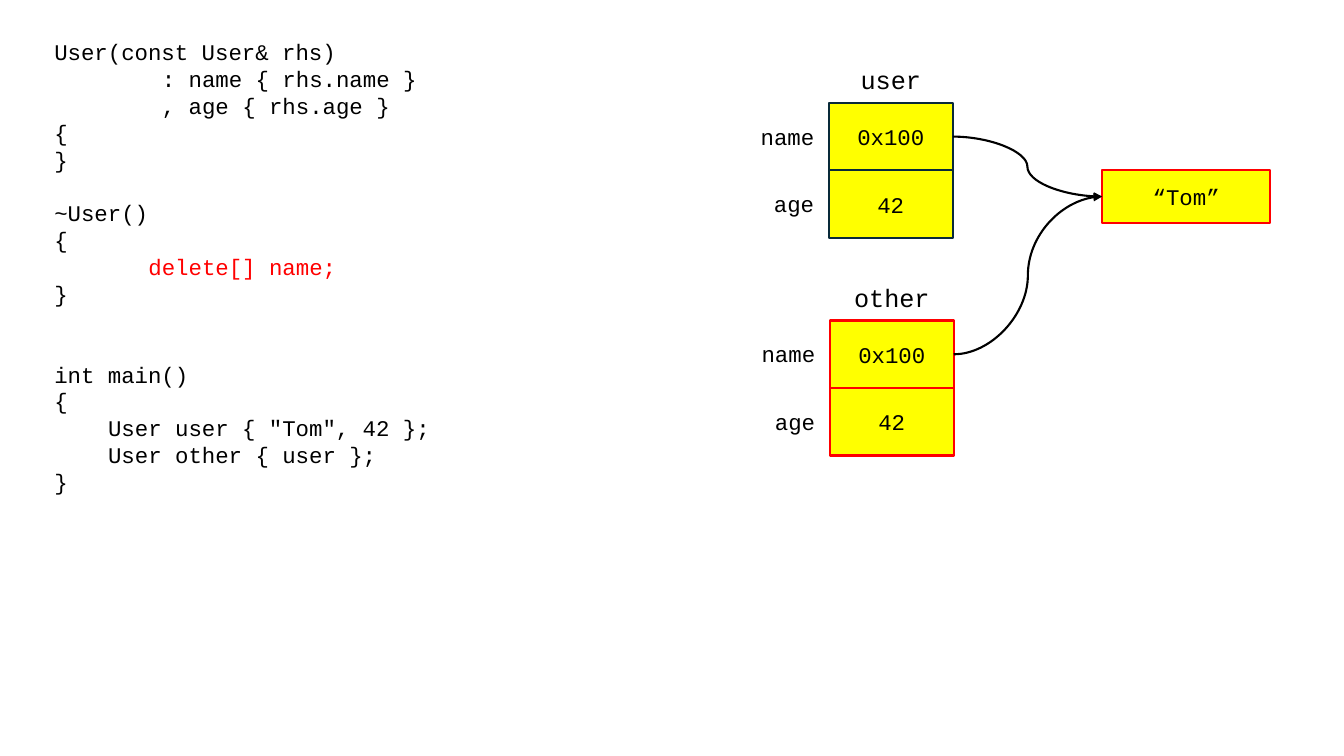
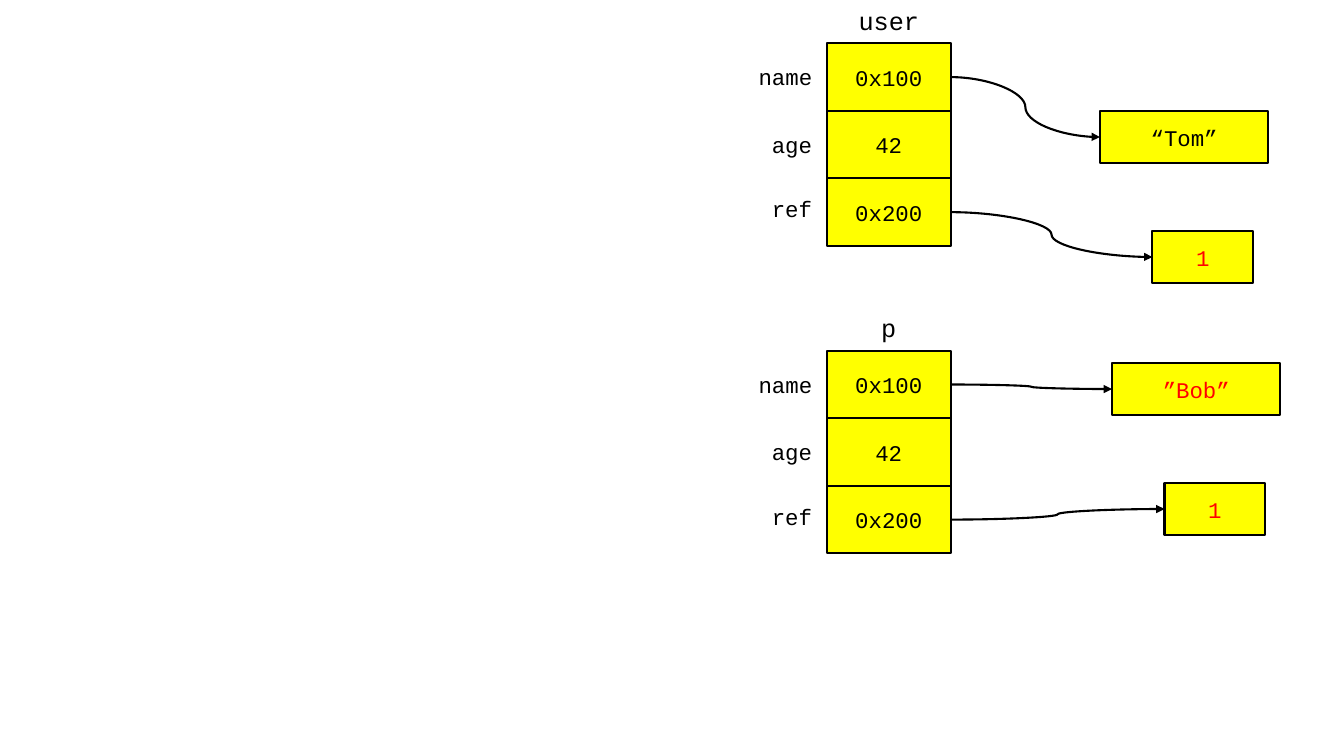
"""Builds two slides that show what shallow copying does to objects in memory."""
from lxml.etree import SubElement
from pptx import Presentation
from pptx.dml.color import RGBColor
from pptx.enum.shapes import MSO_CONNECTOR as Connector, MSO_SHAPE as Shape
from pptx.enum.text import MSO_ANCHOR as Anchor, PP_ALIGN as Align
from pptx.oxml.ns import qn
from pptx.util import Inches, Pt

BLACK = RGBColor(0x00, 0x00, 0x00)
RED = RGBColor(0xFF, 0x00, 0x00)
YELLOW = RGBColor(0xFF, 0xFF, 0x00)
NAVY = RGBColor(0x09, 0x2A, 0x39)

CODE = [
    (0, 0, "User(const User& rhs)", BLACK),
    (0, 8, ": name { rhs.name }", BLACK),
    (0, 8, ", age { rhs.age }", BLACK),
    (0, 0, "{", BLACK),
    (0, 0, "}", BLACK),
    (1, 0, "~User()", BLACK),
    (0, 0, "{", BLACK),
    (0, 7, "delete[] name;", RED),
    (0, 0, "}", BLACK),
    (2, 0, "int main()", BLACK),
    (0, 0, "{", BLACK),
    (0, 4, 'User user { "Tom", 42 };', BLACK),
    (0, 4, "User other { user };", BLACK),
    (0, 0, "}", BLACK),
]


class MemoryDeck:
    font = "Courier New"
    size = 16
    title_size = 18
    line_width = Pt(1.5)
    line_height = 19.2
    character_width = 9.6
    cell_width = 1.23
    cell_height = 0.67
    value_height = 0.52

    def __init__(self):
        self.deck = Presentation()
        self.deck.slide_width = Inches(13.33)
        self.deck.slide_height = Inches(7.5)
        self.slide = None

    def add_slide(self):
        self.slide = self.deck.slides.add_slide(self.deck.slide_layouts[6])

    def style(self, para, color=BLACK, size=size, align=Align.CENTER):
        para.alignment = align
        for span in para.runs:
            span.font.name = self.font
            span.font.size = Pt(size)
            span.font.color.rgb = color

    def text_box(self, left, top, width, height):
        box = self.slide.shapes.add_textbox(
            Inches(left), Inches(top), Inches(width), Inches(height))
        box.text_frame.word_wrap = True
        return box.text_frame

    def label(self, text, left, top, width, height, size=size):
        frame = self.text_box(left, top, width, height)
        frame.text = text
        self.style(frame.paragraphs[0], size=size)

    def code(self, lines, left, top, width, height):
        frame = self.text_box(left, top, width, height)
        frame.text = "\n".join(text for _, _, text, _ in lines)
        for para, (gap, indent, _, color) in zip(frame.paragraphs, lines):
            self.style(para, color, align=Align.LEFT)
            para.line_spacing = Pt(self.line_height)
            para.space_before = Pt(gap * self.line_height)
            margin = Pt(indent * self.character_width)
            para._p.get_or_add_pPr().set("marL", str(margin))

    def box(self, text, left, top, width, height, line=BLACK, color=BLACK):
        box = self.slide.shapes.add_shape(
            Shape.RECTANGLE, Inches(left), Inches(top), Inches(width), Inches(height))
        box.shadow.inherit = False
        box.fill.solid()
        box.fill.fore_color.rgb = YELLOW
        box.line.color.rgb = line
        box.line.width = self.line_width
        box.text_frame.text = text
        box.text_frame.vertical_anchor = Anchor.MIDDLE
        self.style(box.text_frame.paragraphs[0], color)
        return box

    def value(self, text, left, top, width=1.67, line=BLACK, color=BLACK):
        return self.box(text, left, top, width, self.value_height, line, color)

    def record(self, title, left, top, fields, line=BLACK):
        self.label(title, left + 0.12, top - 0.43, 0.99, 0.4, self.title_size)
        cells = {}
        for row, (field, text) in enumerate(fields):
            cell_top = top + row * self.cell_height
            cells[field] = self.box(
                text, left, cell_top, self.cell_width, self.cell_height, line)
            width = 0.22 + 0.13 * len(field)
            drop = 0.12 if field == "ref" else 0.15
            self.label(field, left - 0.04 - width, cell_top + drop, width, 0.37)
        return cells

    def pointer(self, source, target):
        arrow = self.slide.shapes.add_connector(Connector.CURVE, 0, 0, 0, 0)
        arrow.begin_connect(source, 3)
        arrow.end_connect(target, 1)
        arrow.line.color.rgb = BLACK
        arrow.line.width = self.line_width
        SubElement(arrow.line._get_or_add_ln(), qn("a:tailEnd"), type="triangle")
        SubElement(arrow._element.spPr, qn("a:effectLst"))


def main():
    memory = MemoryDeck()
    fields = [("name", "0x100"), ("age", "42")]

    memory.add_slide()
    memory.code(CODE, 0.44, 0.33, 5.38, 4.68)
    user = memory.record("user", 8.22, 1.02, fields, NAVY)
    other = memory.record("other", 8.23, 3.18, fields, RED)
    tom = memory.value("“Tom”", 10.93, 1.69, line=RED)
    for owner in (user, other):
        memory.pointer(owner["name"], tom)

    memory.add_slide()
    counted = fields + [("ref", "0x200")]
    for title, top, text, color, value_left, value_top in (
            ("user", 0.43, "“Tom”", BLACK, 10.91, 1.1),
            ("p", 3.48, "”Bob”", RED, 11.03, 3.6)):
        owner = memory.record(title, 8.2, top, counted)
        name = memory.value(text, value_left, value_top, color=color)
        count = memory.value("1", value_left + 0.52, value_top + 1.19, 1, color=RED)
        memory.pointer(owner["name"], name)
        memory.pointer(owner["ref"], count)

    memory.deck.save("out.pptx")


if __name__ == "__main__":
    main()
